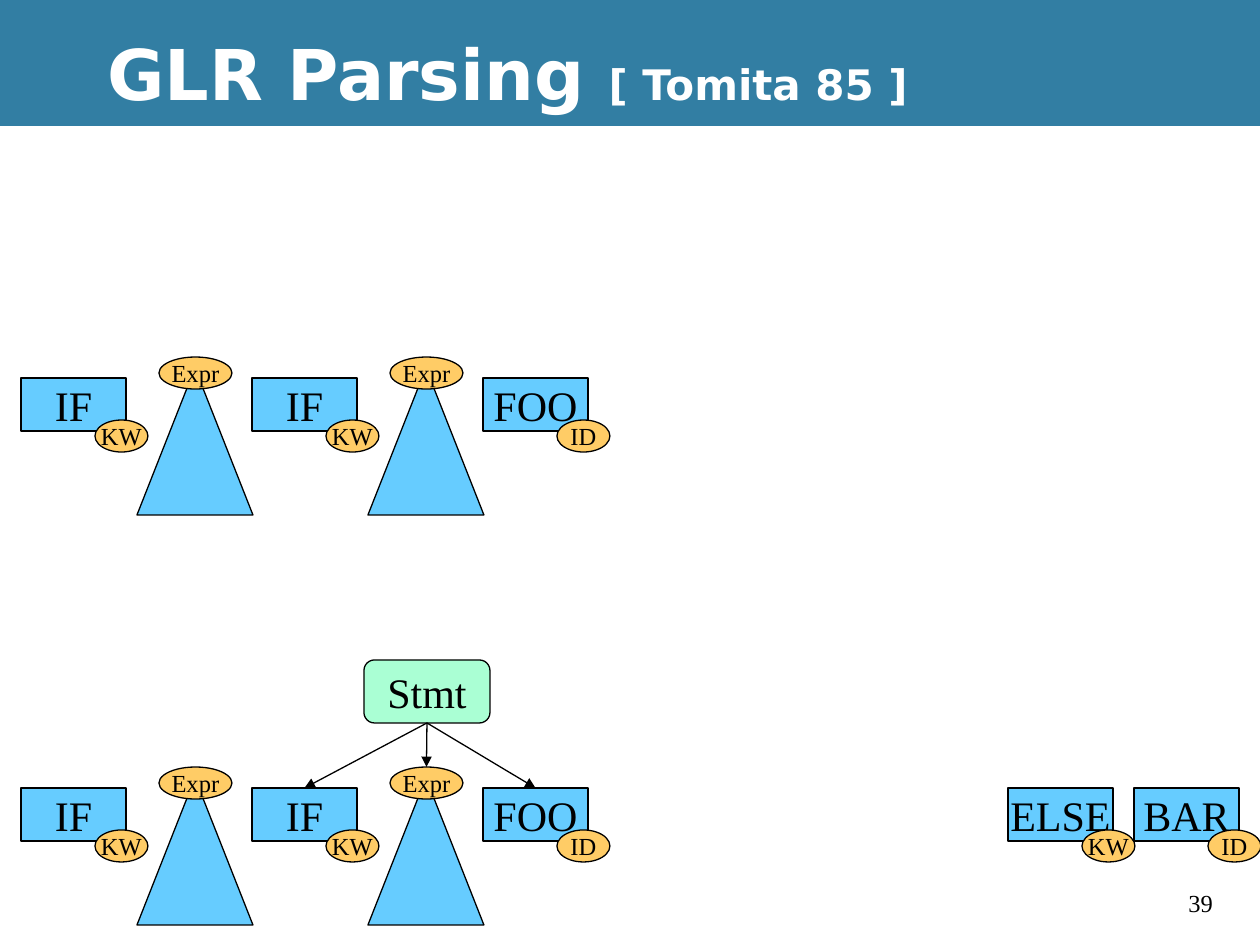
from lxml import etree
from pptx import Presentation
from pptx import util as u
from pptx.dml.color import RGBColor
from pptx.enum import shapes, text
from pptx.oxml.ns import qn

PX = u.Inches(1) / 126
COLORS = {
    "black": "000000",
    "white": "FFFFFF",
    "band": "327EA3",
    "token": "66CCFF",
    "badge": "FFCC66",
    "node": "AAFFD4",
}
SERIF = "Times New Roman"
SANS = "DejaVu Sans"
KIND = shapes.MSO_SHAPE
PITCH = 231  # from one IF to the next token


def px(*lengths):
    return [u.Emu(round(length * PX)) for length in lengths]


def color(name):
    return RGBColor.from_string(COLORS[name])


def style(span, size, font=SERIF, tint="black", bold=False):
    span.font.size = u.Pt(size)
    span.font.name = font
    span.font.color.rgb = color(tint)
    span.font.bold = bold


def add_shape(parent, kind, at, fill, label="", size=24, outlined=True):
    shape = parent.shapes.add_shape(kind, *px(*at))
    shape.shadow.inherit = False
    shape.fill.solid()
    shape.fill.fore_color.rgb = color(fill)
    if outlined:
        shape.line.color.rgb = color("black")
        shape.line.width = u.Pt(0.75)
    else:
        shape.line.fill.background()
    if label:
        frame = shape.text_frame
        frame.text = label
        frame.word_wrap = False
        frame.vertical_anchor = text.MSO_ANCHOR.MIDDLE
        para = frame.paragraphs[0]
        para.alignment = text.PP_ALIGN.CENTER
        style(para.runs[0], size)
    return shape


def add_token(page, x, y, word, category):
    """Draw a word with its category badge and return the word's box."""
    group = page.shapes.add_group_shape()
    box = add_shape(group, KIND.RECTANGLE, (x, y, 105, 53), "token", word)
    add_shape(group, KIND.OVAL, (x + 74, y + 42, 53, 32), "badge", category, 14)
    return box


def add_subtree(page, x, y):
    """Draw an expression triangle and return the badge at its tip."""
    group = page.shapes.add_group_shape()
    add_shape(group, KIND.ISOSCELES_TRIANGLE, (x, y - 10, 116, 147), "token")
    return add_shape(group, KIND.OVAL, (x + 22, y - 21, 73, 32), "badge", "Expr", 14)


def add_stack(page, y):
    """Draw IF Expr IF Expr FOO and return the last three heads."""
    heads = []
    for x in (21, 21 + PITCH):
        heads.append(add_token(page, x, y, "IF", "KW"))
        heads.append(add_subtree(page, x + 116, y))
    heads.append(add_token(page, 21 + 2 * PITCH, y, "FOO", "ID"))
    return heads[-3:]


def add_arrow(page, parent, child):
    arrow = page.shapes.add_connector(shapes.MSO_CONNECTOR.STRAIGHT, 0, 0, 0, 0)
    arrow.begin_connect(parent, 2)
    arrow.end_connect(child, 0)
    arrow.line.color.rgb = color("black")
    arrow.line.width = u.Pt(0.75)
    etree.SubElement(arrow.line._get_or_add_ln(), qn("a:tailEnd"), type="triangle")
    etree.SubElement(arrow.element.spPr, qn("a:effectLst"))


def add_title(page):
    title = page.shapes.title
    page.shapes.element.append(title.element)  # in front of the band
    title.left, title.top, title.width, title.height = px(95, 10, 1165, 126)
    frame = title.text_frame
    frame.auto_size = text.MSO_AUTO_SIZE.NONE
    frame.vertical_anchor = text.MSO_ANCHOR.MIDDLE
    para = frame.paragraphs[0]
    para.alignment = text.PP_ALIGN.LEFT
    for words, size in (("GLR Parsing ", 40), ("[ Tomita 85 ]", 24)):
        span = para.add_run()
        span.text = words
        style(span, size, SANS, "white", True)


def add_page_number(page):
    box = page.shapes.add_textbox(*px(1176, 882, 63, 42))
    box.text_frame.word_wrap = True
    box.text_frame.text = "39"
    para = box.text_frame.paragraphs[0]
    para.space_before = u.Pt(7)
    style(para.runs[0], 14)


def main():
    deck = Presentation()
    deck.slide_width, deck.slide_height = px(1260, 945)
    page = deck.slides.add_slide(deck.slide_layouts[5])
    page.background.fill.solid()
    page.background.fill.fore_color.rgb = color("black")
    add_shape(page, KIND.RECTANGLE, (0, 126, 1260, 819), "white", outlined=False)
    add_shape(page, KIND.RECTANGLE, (0, 0, 1260, 126), "band", outlined=False)
    add_title(page)
    add_page_number(page)

    upper, lower = 378, 788
    add_stack(page, upper)
    children = add_stack(page, lower)
    add_token(page, 1008, lower, "ELSE", "KW")
    add_token(page, 1134, lower, "BAR", "ID")

    statement = add_shape(
        page, KIND.ROUNDED_RECTANGLE, (364, 660, 126, 63), "node", "Stmt")
    for child in children:
        add_arrow(page, statement, child)
    deck.save("out.pptx")


if __name__ == "__main__":
    main()
